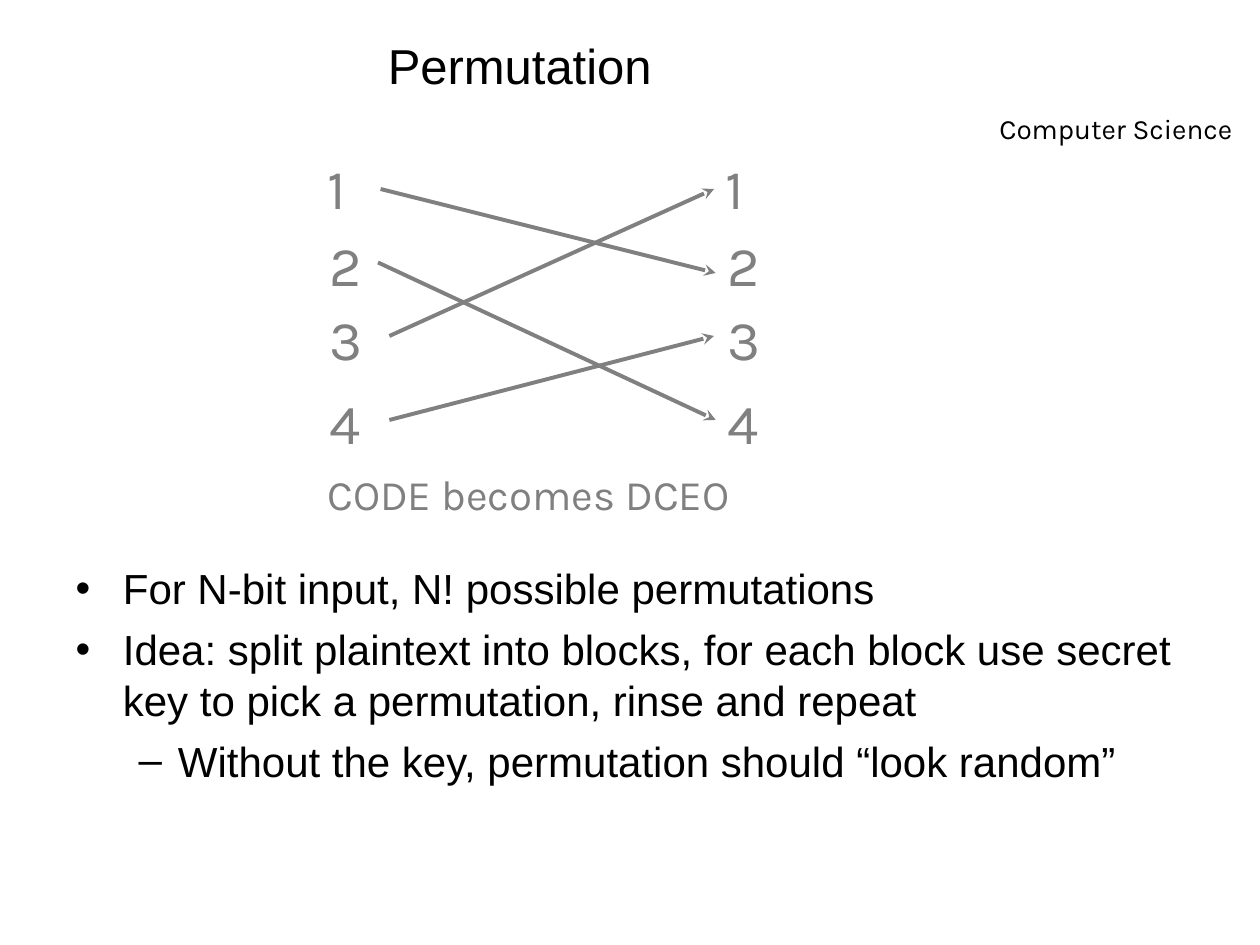
from lxml.etree import SubElement
from pptx import Presentation
from pptx.dml.color import RGBColor
from pptx.enum.shapes import MSO_CONNECTOR
from pptx.enum.text import MSO_ANCHOR, MSO_AUTO_SIZE, PP_ALIGN
from pptx.oxml.ns import qn
from pptx.util import Pt

BLACK = "000000"
GRAY = "808080"


def add_span(para, text, font, size, color):
    span = para.add_run()
    span.text = text
    span.font.name = font
    span.font.size = Pt(size)
    span.font.color.rgb = RGBColor.from_string(color)


def add_label(page, text, left, top, width, height, size, color=GRAY, wrap=False):
    box = page.shapes.add_textbox(Pt(left), Pt(top), Pt(width), Pt(height))
    box.text_frame.word_wrap = wrap
    add_span(box.text_frame.paragraphs[0], text, "Karla", size, color)


deck = Presentation()
deck.slide_width, deck.slide_height = Pt(720), Pt(540)
page = deck.slides.add_slide(deck.slide_layouts[1])

add_label(page, "Computer Science", 564, 60, 156, 26.6, 16, BLACK, wrap=True)

title = page.shapes.title
title.left, title.top, title.width, title.height = Pt(48), Pt(18), Pt(498), Pt(39.6)
title.text_frame.auto_size = MSO_AUTO_SIZE.NONE
title.text_frame.vertical_anchor = MSO_ANCHOR.BOTTOM
para = title.text_frame.paragraphs[0]
para.alignment = PP_ALIGN.CENTER
add_span(para, "Permutation", "Arial", 28, BLACK)

# Two columns of positions; the digit 1 sits slightly left of the others
digit_tops = [84, 128.4, 170.4, 218.4]
for column_left in (181.2, 408.8):
    for number, top in enumerate(digit_tops, start=1):
        left = column_left - 1.2 if number == 1 else column_left
        add_label(page, str(number), left, top, 32.4, 46, 32)

# Arrows from each input position to its output position
arrows = [
    (217.5, 108, 409, 156),
    (216, 150, 409, 240),
    (222.5, 192, 408, 108),
    (222.5, 240, 408, 192),
]
for ends in arrows:
    arrow = page.shapes.add_connector(MSO_CONNECTOR.STRAIGHT, *map(Pt, ends))
    arrow.line.color.rgb = RGBColor.from_string(GRAY)
    arrow.line.width = Pt(2.25)
    SubElement(arrow.line._get_or_add_ln(), qn("a:tailEnd"), type="stealth")
    SubElement(arrow._element.spPr, qn("a:effectLst"))

add_label(page, "CODE becomes DCEO", 180, 264, 258, 36, 24)

# The template supplies the bullets and indents of both levels
points = [
    (0, "For N-bit input, N! possible permutations"),
    (0, "Idea: split plaintext into blocks, for each block use secret "
        "key to pick a permutation, rinse and repeat"),
    (1, "Without the key, permutation should “look random”"),
]
body = page.placeholders[1]
body.left, body.top, body.width, body.height = Pt(36), Pt(318), Pt(666), Pt(156)
frame = body.text_frame
frame.auto_size = MSO_AUTO_SIZE.NONE
for index, (level, text) in enumerate(points):
    para = frame.add_paragraph() if index else frame.paragraphs[0]
    para.level = level
    para.space_before = Pt(6 if index else 0)
    add_span(para, text, "Arial", 24, BLACK)

deck.save("out.pptx")
